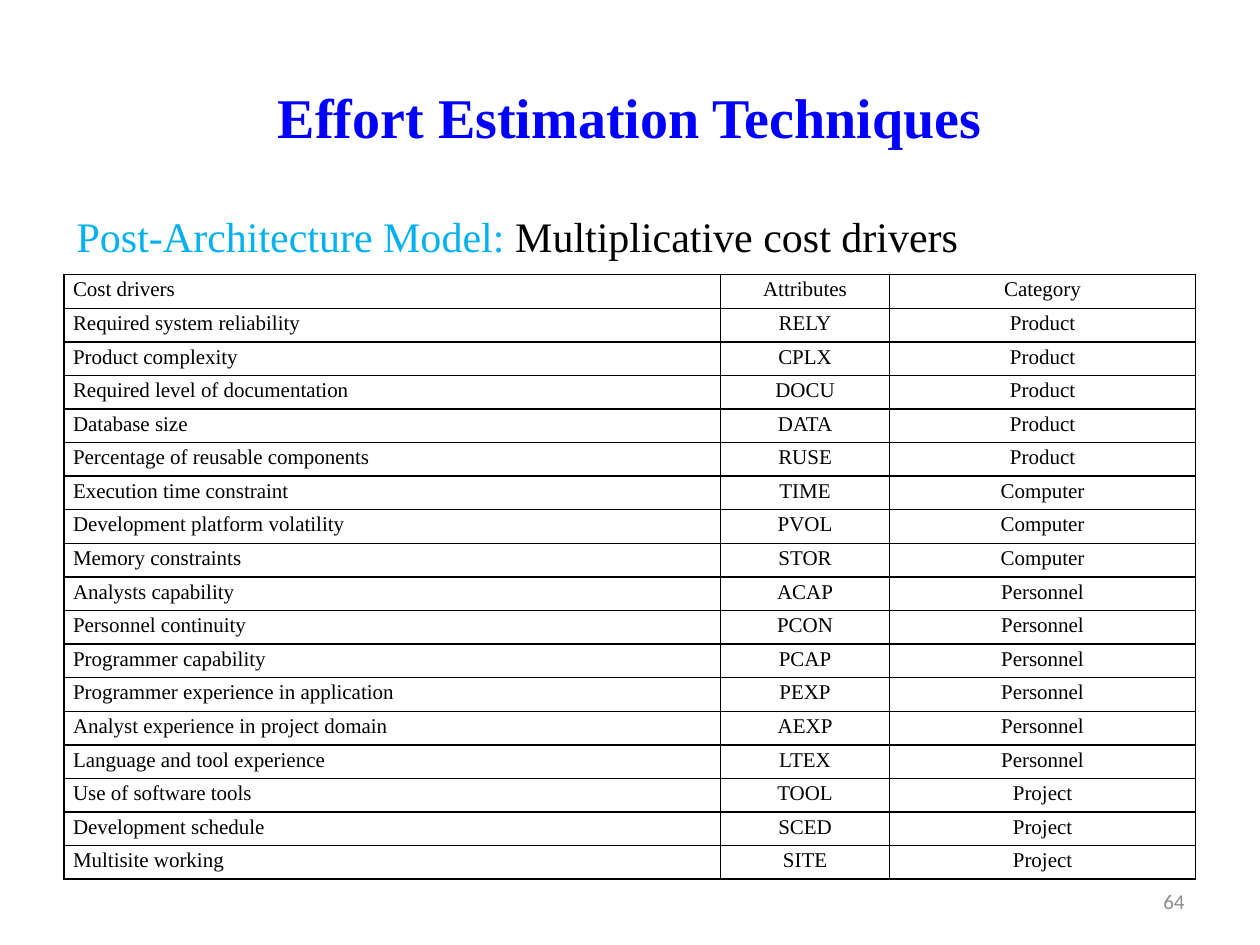
from lxml.etree import SubElement
from pptx import Presentation
from pptx.dml.color import RGBColor
from pptx.enum.text import MSO_ANCHOR, PP_ALIGN
from pptx.oxml.ns import qn
from pptx.util import Inches, Pt

# Content
TITLE = "Effort Estimation Techniques"
LEAD = [("Post-Architecture Model: ", "sky"), ("Multiplicative cost drivers", "black")]
PAGE = "64"
HEAD = ("Cost drivers", "Attributes", "Category")
GROUPS = {
    "Product": [
        ("Required system reliability", "RELY"),
        ("Product complexity", "CPLX"),
        ("Required level of documentation", "DOCU"),
        ("Database size", "DATA"),
        ("Percentage of reusable components", "RUSE"),
    ],
    "Computer": [
        ("Execution time constraint", "TIME"),
        ("Development platform volatility", "PVOL"),
        ("Memory constraints", "STOR"),
    ],
    "Personnel": [
        ("Analysts capability", "ACAP"),
        ("Personnel continuity", "PCON"),
        ("Programmer capability", "PCAP"),
        ("Programmer experience in application", "PEXP"),
        ("Analyst experience in project domain", "AEXP"),
        ("Language and tool experience", "LTEX"),
    ],
    "Project": [
        ("Use of software tools", "TOOL"),
        ("Development schedule", "SCED"),
        ("Multisite working", "SITE"),
    ],
}
ROWS = [HEAD] + [(name, code, kind) for kind, items in GROUPS.items()
                 for name, code in items]

# Style and grid
COLORS = {"blue": "0000FF", "sky": "00B0F0", "black": "000000", "gray": "8C8C8C"}
SERIF, SANS = "Times New Roman", "Calibri"
WIDE, HIGH = 10, 7.5
SIDE = 0.05 * WIDE
LEFT, TOP, TALL = 0.51, 2.18, 4.8
COLS = (5.21, 1.34, 2.43)


def add_run(para, text, size, color, font=SERIF, bold=False):
    run = para.add_run()
    run.text = text
    run.font.size = Pt(size)
    run.font.name = font
    run.font.bold = bold
    run.font.color.rgb = RGBColor.from_string(COLORS[color])


def add_box(slide, place, align, anchor=MSO_ANCHOR.MIDDLE, wrap=True):
    frame = slide.shapes.add_textbox(*map(Inches, place)).text_frame
    frame.word_wrap = wrap
    frame.vertical_anchor = anchor
    para = frame.paragraphs[0]
    para.alignment = align
    return para


def frame_cell(cell):
    props = cell._tc.get_or_add_tcPr()
    for at, side in enumerate(("lnL", "lnR", "lnT", "lnB")):
        line = props.makeelement(qn(f"a:{side}"), {"w": str(Pt(1))})
        fill = SubElement(line, qn("a:solidFill"))
        SubElement(fill, qn("a:srgbClr"), val=COLORS["black"])
        props.insert(at, line)


def add_grid(slide):
    place = map(Inches, (LEFT, TOP, sum(COLS), TALL))
    table = slide.shapes.add_table(len(ROWS), len(COLS), *place).table
    table.first_row = table.horz_banding = False
    for col, width in zip(table.columns, COLS):
        col.width = Inches(width)
    for r, row in enumerate(ROWS):
        table.rows[r].height = Inches(TALL / len(ROWS))
        for c, text in enumerate(row):
            cell = table.cell(r, c)
            cell.fill.background()
            cell.margin_left = cell.margin_right = Inches(0.07)
            cell.margin_top = cell.margin_bottom = 0
            frame_cell(cell)
            para = cell.text_frame.paragraphs[0]
            para.alignment = PP_ALIGN.CENTER if c else PP_ALIGN.LEFT
            para.line_spacing = 1.15
            if r and not c:
                para.space_after = Pt(10)
            add_run(para, text, 12, "black")


def main():
    deck = Presentation()
    deck.slide_width, deck.slide_height = Inches(WIDE), Inches(HIGH)
    slide = deck.slides.add_slide(deck.slide_layouts[6])

    # Title
    para = add_box(slide, (SIDE, 0.04 * HIGH, WIDE - 2 * SIDE, 1.25), PP_ALIGN.CENTER)
    add_run(para, TITLE, 32, "blue", bold=True)

    # Page number
    para = add_box(slide, (WIDE - SIDE - 2.33, 6.95, 2.33, 0.4), PP_ALIGN.RIGHT)
    add_run(para, PAGE, 12, "gray", SANS)

    # Cost driver table
    add_grid(slide)

    # Lead line above the table
    para = add_box(slide, (LEFT, 1.62, 7.22, 0.5), PP_ALIGN.LEFT, MSO_ANCHOR.TOP, False)
    for text, color in LEAD:
        add_run(para, text, 24, color)

    deck.save("out.pptx")


if __name__ == "__main__":
    main()
